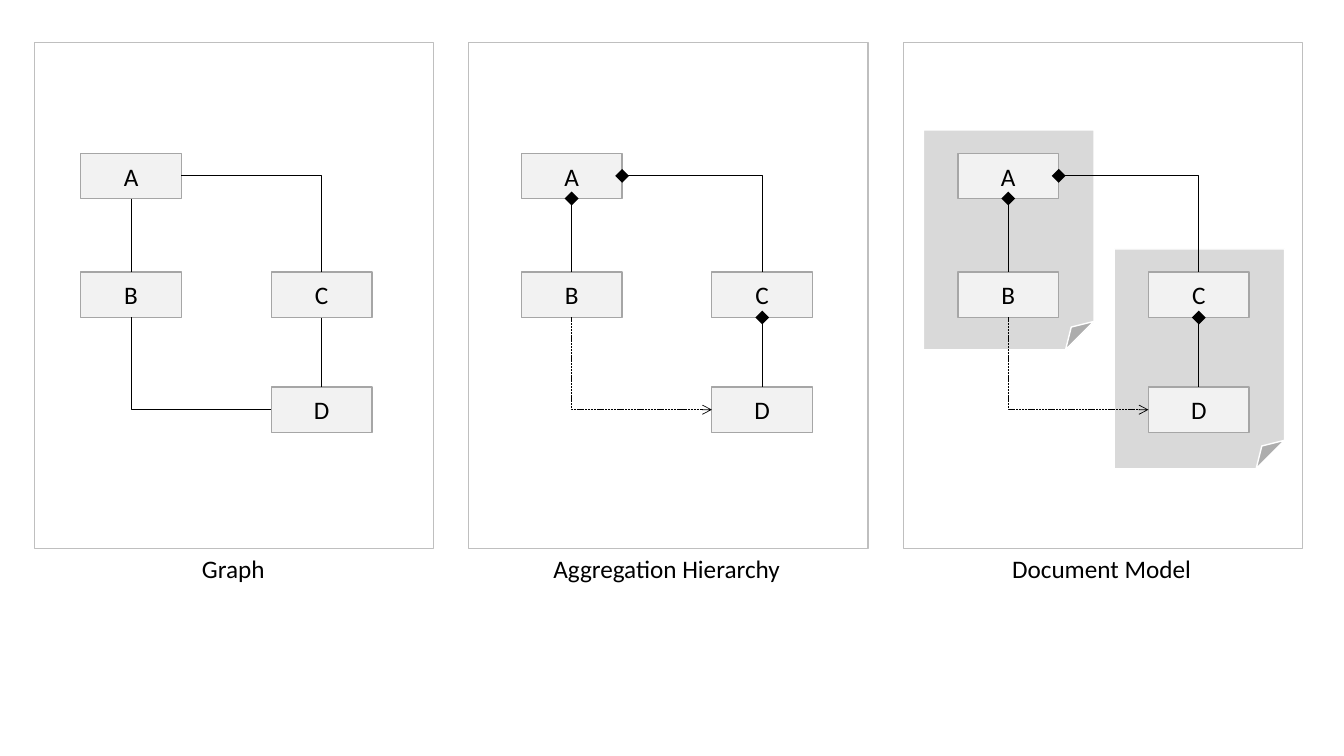
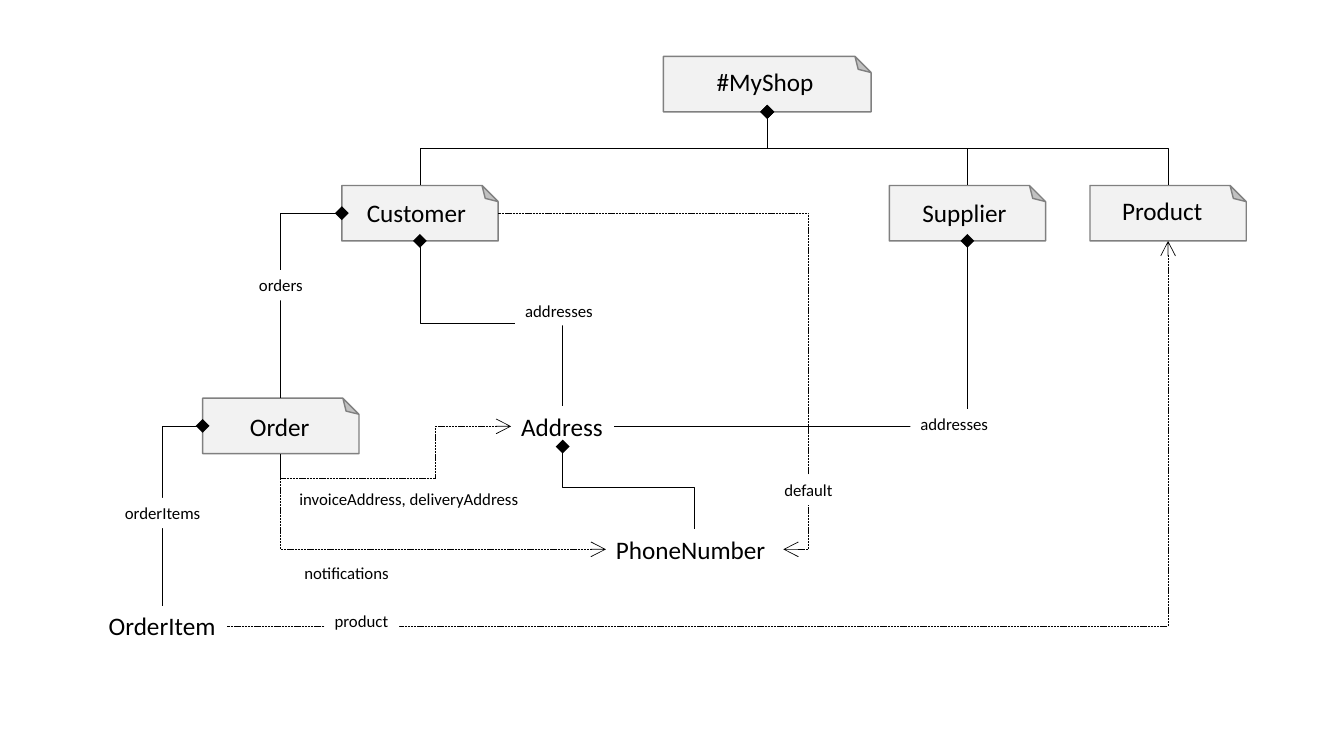
from dataclasses import dataclass

from lxml import etree
from pptx import Presentation
from pptx import util as u
from pptx.dml.color import RGBColor
from pptx.enum import dml, shapes, text
from pptx.oxml import ns

# Shared look
BLACK = RGBColor(0x00, 0x00, 0x00)
WHITE = RGBColor(0xFF, 0xFF, 0xFF)
NODE_FILL = RGBColor(0xF2, 0xF2, 0xF2)
NODE_EDGE = RGBColor(0xA6, 0xA6, 0xA6)
CARD_EDGE = RGBColor(0x80, 0x80, 0x80)
PANEL_EDGE = RGBColor(0xBF, 0xBF, 0xBF)
PAGE_FILL = RGBColor(0xD9, 0xD9, 0xD9)
FONT = "Calibri"
NAME_SIZE, ROLE_SIZE = 18, 12
LINE_HEIGHT = {NAME_SIZE: 0.4, ROLE_SIZE: 0.3}

# Grid: one column and one row are an inch each
COLUMNS, ROWS = 13.33, 7.5
CELL = u.Inches(1)


def grid(cells):
    return round(cells * CELL)


@dataclass
class Box:
    left: float
    top: float
    width: float
    height: float

    def anchor(self, across, down):
        return self.left + across * self.width, self.top + down * self.height

    def inner(self, dx, dy, width, height):
        return Box(self.left + dx, self.top + dy, width, height)

    @property
    def emu(self):
        return [grid(n) for n in (self.left, self.top, self.width, self.height)]


NORTH, SOUTH, WEST, EAST = (0.5, 0), (0.5, 1), (0, 0.5), (1, 0.5)


def style_text(frame, wording, size):
    frame.text = wording
    font = frame.paragraphs[0].runs[0].font
    font.name, font.size, font.color.rgb = FONT, u.Pt(size), BLACK


def set_guide(properties, name, share):
    guides = properties.find(ns.qn("a:prstGeom")).find(ns.qn("a:avLst"))
    etree.SubElement(guides, ns.qn("a:gd"), name=name,
                     fmla=f"val {round(share * 100000)}")


def outline(slide, preset, box, edge, fill=None):
    shape = slide.shapes.add_shape(preset, *box.emu)
    shape.shadow.inherit = False
    if fill is None:
        shape.fill.background()
    else:
        shape.fill.solid()
        shape.fill.fore_color.rgb = fill
    shape.line.color.rgb = edge
    shape.line.width = u.Pt(1)
    return shape


def label(slide, left, top, width, wording, size=NAME_SIZE, fill=None):
    box = Box(left, top, width, LINE_HEIGHT[size])
    caption = slide.shapes.add_textbox(*box.emu)
    if fill is not None:
        caption.fill.solid()
        caption.fill.fore_color.rgb = fill
    style_text(caption.text_frame, wording, size)
    caption.text_frame.word_wrap = False
    caption.text_frame.auto_size = text.MSO_AUTO_SIZE.SHAPE_TO_FIT_TEXT
    return box


def route(slide, *points, head=None, tail=None, dashed=False, arrow_size="lg"):
    """Draw one right-angled connector through the points."""
    (x0, y0), (x1, y1) = points[0], points[-1]
    dx, dy = x1 - x0, y1 - y0
    bent = len(points) > 2
    upright = bent and abs(points[1][0] - x0) < 0.001
    begin, end = (x0, y0), (x1, y1)
    if upright:
        # The unturned frame swaps width and height about the same centre
        mid_x, mid_y = (x0 + x1) / 2, (y0 + y1) / 2
        half_w = dy / 2 if dx < 0 else -dy / 2
        half_h = abs(dx) / 2
        begin = mid_x - half_w, mid_y - half_h
        end = mid_x + half_w, mid_y + half_h
    kind = shapes.MSO_CONNECTOR.ELBOW if bent else shapes.MSO_CONNECTOR.STRAIGHT
    connector = slide.shapes.add_connector(kind, *map(grid, begin + end))
    connector.line.color.rgb = BLACK
    connector.line.width = u.Pt(0.5)
    if dashed:
        connector.line.dash_style = dml.MSO_LINE.SQUARE_DOT
    properties = connector.element.spPr
    if upright:
        turn = 90 if dx < 0 else 270
        properties.find(ns.qn("a:xfrm")).set("rot", str(turn * 60000))
    if bent:
        # Bends as shares of the run along each axis
        geometry = properties.find(ns.qn("a:prstGeom"))
        geometry.set("prst", f"bentConnector{len(points) - 1}")
        across = (points[1][0] - x0) / dx
        down = (points[1][1] - y0) / dy
        shares = [down if upright else across, (points[2][1] - y0) / dy]
        for number, share in enumerate(shares[:len(points) - 3], 1):
            set_guide(properties, f"adj{number}", share)
    stroke = properties.find(ns.qn("a:ln"))
    for side, mark in (("a:headEnd", head), ("a:tailEnd", tail)):
        if mark:
            size = arrow_size if mark == "arrow" else "lg"
            etree.SubElement(stroke, ns.qn(side), type=mark, w=size, len=size)
    etree.SubElement(properties, ns.qn("a:effectLst"))


def corner_route(slide, start, end, upright, **style):
    corner = (start[0], end[1]) if upright else (end[0], start[1])
    route(slide, start, corner, end, **style)


def step_route(slide, start, end, **style):
    middle = (start[1] + end[1]) / 2
    route(slide, start, (start[0], middle), (end[0], middle), end, **style)


# Slide 1: three views of the same four nodes
def node(slide, box, letter):
    shape = outline(slide, shapes.MSO_SHAPE.RECTANGLE, box, NODE_EDGE, NODE_FILL)
    style_text(shape.text_frame, letter, NAME_SIZE)
    shape.text_frame.vertical_anchor = text.MSO_ANCHOR.MIDDLE
    shape.text_frame.paragraphs[0].alignment = text.PP_ALIGN.CENTER


def model_panel(slide, panel, title, title_width, inset, owned, pages):
    nodes = {letter: panel.inner(inset + dx, dy, 1, 0.45)
             for letter, dx, dy in (("A", 0, 1.1), ("B", 0, 2.28),
                                    ("C", 1.89, 2.28), ("D", 1.89, 3.42))}
    if pages:
        for letter in "CA":
            page = nodes[letter].inner(-0.34, -0.23, 1.69, 2.18)
            outline(slide, shapes.MSO_SHAPE.FOLDED_CORNER, page, WHITE, PAGE_FILL)
    outline(slide, shapes.MSO_SHAPE.RECTANGLE, panel, PANEL_EDGE)
    label(slide, panel.left + (panel.width - title_width) / 2,
          panel.top + panel.height, title_width, title)
    for letter, box in nodes.items():
        node(slide, box, letter)
    a, b, c, d = nodes.values()
    owner = "diamond" if owned else None
    for upper, lower in ((c, d), (a, b)):
        route(slide, upper.anchor(*SOUTH), lower.anchor(*NORTH), head=owner)
    corner_route(slide, a.anchor(*EAST), c.anchor(*NORTH), False, head=owner)
    corner_route(slide, b.anchor(*SOUTH), d.anchor(*WEST), True, dashed=owned,
                 tail="arrow" if owned else None, arrow_size="med")


def models_slide(slide):
    views = (("Graph", 0.83, 0.46, False, False),
             ("Aggregation Hierarchy", 2.48, 0.52, True, False),
             ("Document Model", 2, 0.54, True, True))
    for index, view in enumerate(views):
        model_panel(slide, Box(0.34 + index * 4.31, 0.42, 3.96, 5.02), *view)


# Slide 2: shop documents and their relations
def document_card(slide, box, name, name_left, name_top, name_width):
    card = outline(slide, shapes.MSO_SHAPE.FOLDED_CORNER, box, CARD_EDGE, NODE_FILL)
    properties = card.element.spPr
    set_guide(properties, "adj", 0.29)
    card.rotation = 180
    properties.find(ns.qn("a:xfrm")).set("flipH", "1")
    label(slide, box.left + name_left, box.top + name_top, name_width, name)
    return box


def shop_slide(slide):
    # Documents
    def card(left, top, *name, width=1.55):
        return document_card(slide, Box(left, top, width, 0.55), *name)

    shop = card(6.58, 0.56, "#MyShop", 0.43, 0.05, 1.17, width=2.06)
    customer = card(3.39, 1.84, "Customer", 0.15, 0.07, 1.2)
    supplier = card(8.82, 1.84, "Supplier", 0.23, 0.07, 1.05)
    product = card(10.81, 1.84, "Product", 0.22, 0.05, 1.01)
    order = card(2.01, 3.95, "Order", 0.37, 0.08, 0.8)

    # Parts inside documents
    address = label(slide, 5.07, 4.03, 1.02, "Address")
    phone = label(slide, 6.01, 5.25, 1.76, "PhoneNumber")
    order_item = label(slide, 0.98, 6.01, 1.27, "OrderItem")

    # Ownership
    for owner, part in ((shop, customer), (shop, supplier), (shop, product),
                        (customer, address), (address, phone)):
        step_route(slide, owner.anchor(*SOUTH), part.anchor(*NORTH), head="diamond")
    for owner, part in ((customer, order), (order, order_item)):
        corner_route(slide, owner.anchor(*WEST), part.anchor(*NORTH), False,
                     head="diamond")
    corner_route(slide, supplier.anchor(*SOUTH), address.anchor(*EAST), True,
                 head="diamond")

    # References
    reference = {"head": "arrow", "dashed": True}
    phone_end, customer_end = phone.anchor(*EAST), customer.anchor(*EAST)
    default_column = phone_end[0] + 0.25
    route(slide, phone_end, (default_column, phone_end[1]),
          (default_column, customer_end[1]), customer_end, **reference)
    address_end, order_end = address.anchor(*WEST), order.anchor(*SOUTH)
    turn_column, turn_row = address_end[0] - 0.75, order_end[1] + 0.25
    route(slide, address_end, (turn_column, address_end[1]),
          (turn_column, turn_row), (order_end[0], turn_row), order_end, **reference)
    corner_route(slide, phone.anchor(*WEST), order_end, False, **reference)
    corner_route(slide, product.anchor(*SOUTH), order_item.anchor(*EAST), True,
                 **reference)

    # Role names
    for left, top, width, role in (
            (7.68, 4.71, 0.68, "default"),
            (2.87, 4.8, 2.4, "invoiceAddress, deliveryAddress"),
            (2.92, 5.53, 1.05, "notifications"),
            (2.47, 2.68, 0.64, "orders"),
            (1.14, 4.94, 0.96, "orderItems"),
            (5.11, 2.93, 0.88, "addresses"),
            (9.03, 4.06, 0.88, "addresses"),
            (3.22, 6.01, 0.74, "product")):
        label(slide, left, top, width, role, ROLE_SIZE, WHITE)


deck = Presentation()
deck.slide_width, deck.slide_height = grid(COLUMNS), grid(ROWS)
for build in (models_slide, shop_slide):
    build(deck.slides.add_slide(deck.slide_layouts[6]))
deck.save("out.pptx")
